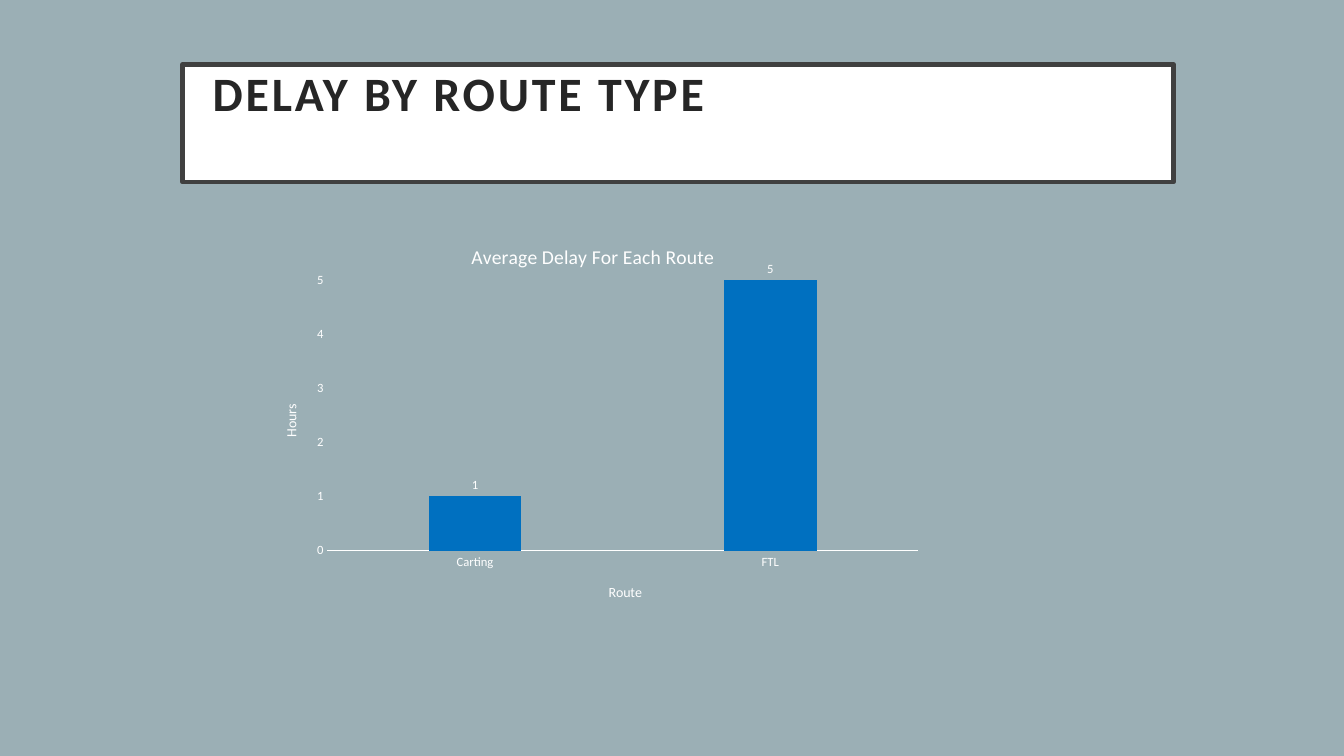
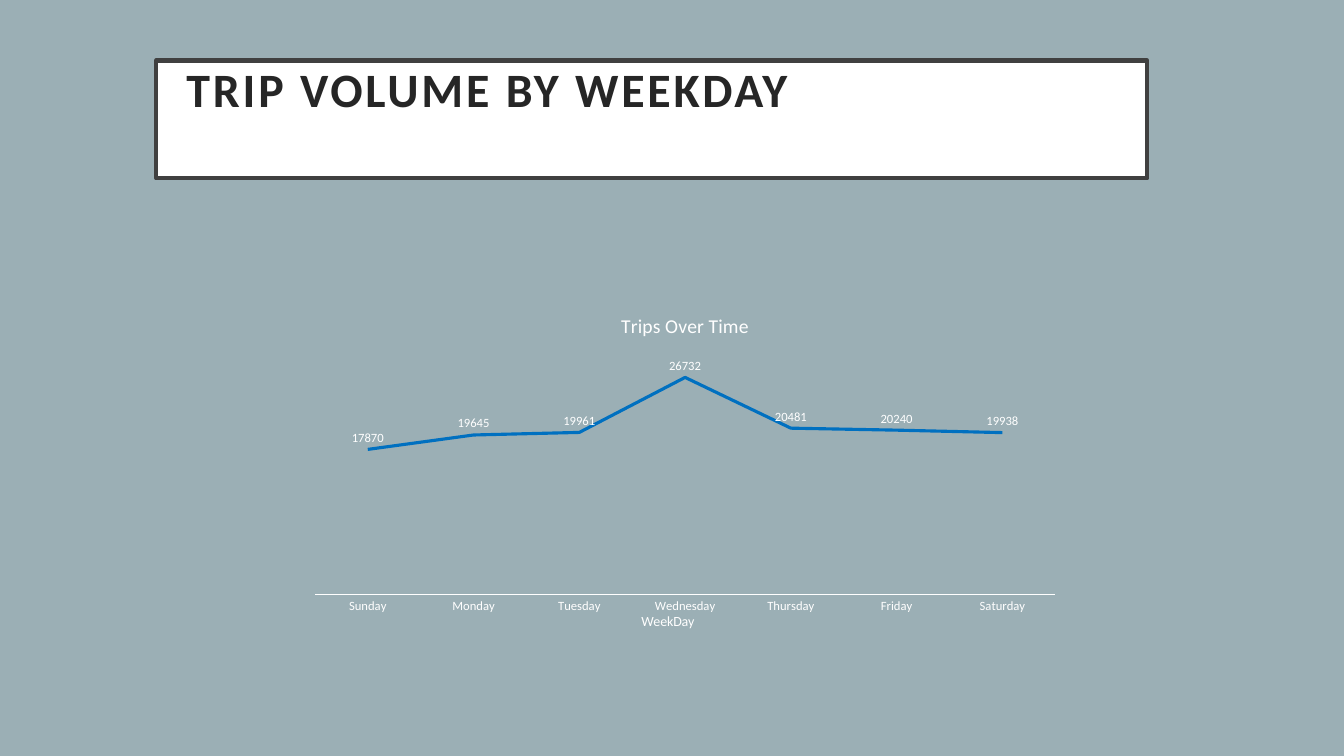
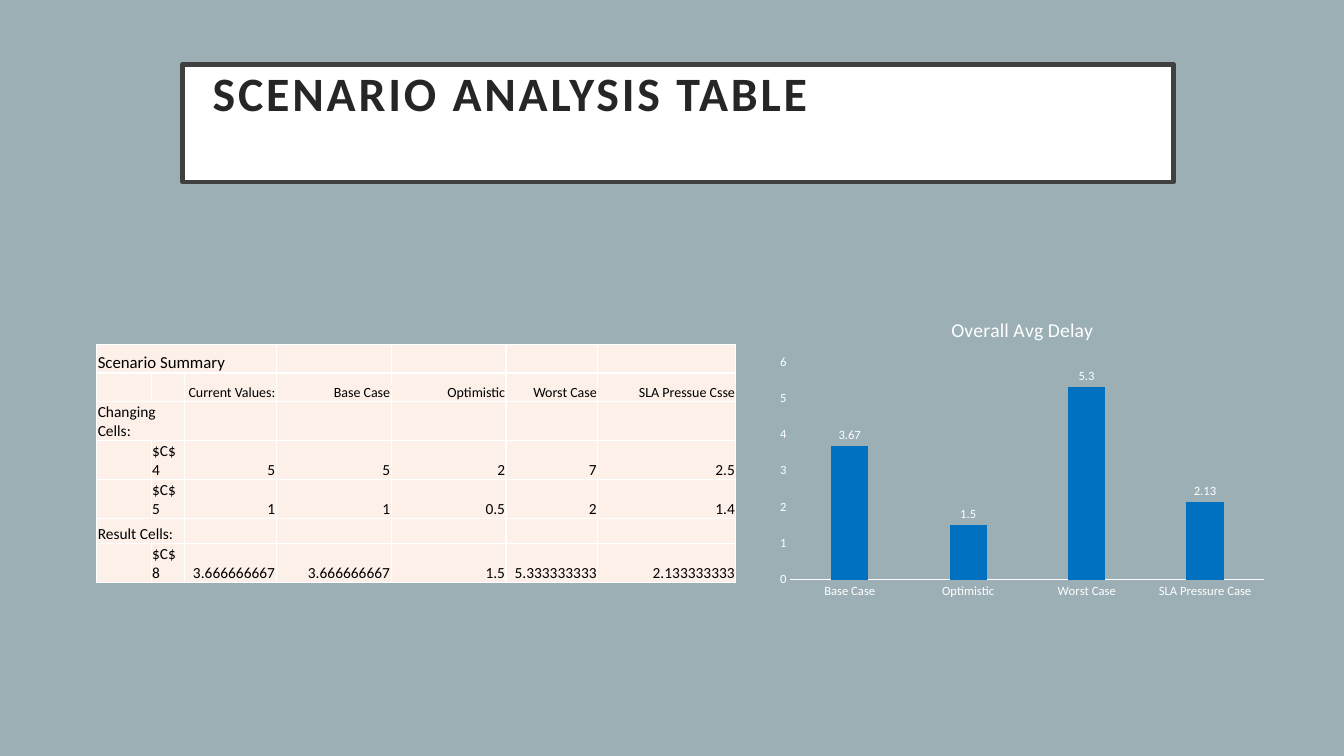
from dataclasses import dataclass

from lxml.etree import SubElement
from pptx import Presentation
from pptx.chart.data import CategoryChartData
from pptx.dml.color import RGBColor as RGB
from pptx.enum.chart import XL_CHART_TYPE as CT, XL_LABEL_POSITION as LP, XL_TICK_MARK as TICK
from pptx.enum.shapes import MSO_SHAPE as SHAPE
from pptx.enum.text import MSO_ANCHOR as ANCHOR, PP_ALIGN as AL
from pptx.oxml.ns import qn
from pptx.util import Inches, Pt


@dataclass(frozen=True)
class Theme:
    font: str = "Calibri"
    back: RGB = RGB.from_string("9BAFB5")
    white: RGB = RGB.from_string("FFFFFF")
    black: RGB = RGB.from_string("000000")
    ink: RGB = RGB.from_string("262626")
    frame: RGB = RGB.from_string("404040")
    accent: RGB = RGB.from_string("0070C0")
    cell: RGB = RGB.from_string("FDF0E8")
    title: float = 34.2
    chart_title: float = 14
    axis_title: float = 10
    label: float = 9


T = Theme()


def style_font(font, size, color, bold=False):
    font.name = T.font
    font.size = Pt(size)
    font.bold = bold
    font.color.rgb = color


def add_text(tf, text, size, color, bold=False, align=AL.LEFT, spacing=0, leading=None):
    p = tf.paragraphs[0]
    p.alignment = align
    p.line_spacing = leading
    r = p.add_run()
    r.text = text
    style_font(r.font, size, color, bold)
    if spacing:
        r.font._element.set("spc", str(spacing * 100))


def set_margins(box, left, top, right, bottom):
    box.margin_left, box.margin_top = Inches(left), Inches(top)
    box.margin_right, box.margin_bottom = Inches(right), Inches(bottom)


def add_slide(prs, title, left=1.81, top=0.64):
    s = prs.slides.add_slide(prs.slide_layouts[6])
    sp = s.shapes.add_shape(SHAPE.RECTANGLE, Inches(left), Inches(top), Inches(9.83), Inches(1.17))
    sp.shadow.inherit = False
    sp.fill.solid()
    sp.fill.fore_color.rgb = T.white
    sp.line.color.rgb = T.frame
    sp.line.width = Pt(3)
    tf = sp.text_frame
    tf.word_wrap = True
    tf.vertical_anchor = ANCHOR.TOP
    set_margins(tf, 0.3, 0.06, 0.3, 0.2)
    add_text(tf, title, T.title, T.ink, bold=True, spacing=2, leading=0.9)
    return s


def set_layout(parent, index, **places):
    for old in parent.findall(qn("c:layout")):
        parent.remove(old)
    layout = parent.makeelement(qn("c:layout"))
    parent.insert(index, layout)
    manual = SubElement(layout, qn("c:manualLayout"))
    if "w" in places:
        SubElement(manual, qn("c:layoutTarget"), val="inner")
    for side in "xy":
        SubElement(manual, qn(f"c:{side}Mode"), val="edge")
    for name, value in places.items():
        SubElement(manual, qn(f"c:{name}"), val=str(value))


def title_axis(axis, text, at=None):
    title = axis.axis_title
    add_text(title.text_frame, text, T.axis_title, T.white, align=AL.CENTER)
    if at:
        set_layout(title.element, 1, x=at[0], y=at[1])


def style_axis(axis):
    axis.has_major_gridlines = False
    axis.major_tick_mark = axis.minor_tick_mark = TICK.NONE
    style_font(axis.tick_labels.font, T.label, T.white)


def add_chart(s, kind, place, plot_at, title, points, top_value, step, fmt="General", name="Series 1"):
    data = CategoryChartData()
    data.categories = list(points)
    data.add_series(name, list(points.values()))
    chart = s.shapes.add_chart(kind, *map(Inches, place), data).chart
    style_font(chart.font, T.axis_title, T.white)
    chart.has_legend = False
    chart.has_title = True
    add_text(chart.chart_title.text_frame, title, T.chart_title, T.white, align=AL.CENTER)
    set_layout(chart.element.chart.plotArea, 0, **dict(zip("xywh", plot_at)))

    cat, val = chart.category_axis, chart.value_axis
    for axis in (cat, val):
        style_axis(axis)
    cat.format.line.color.rgb = T.white
    cat.format.line.width = Pt(0.75)
    val.format.line.fill.background()
    val.minimum_scale, val.maximum_scale, val.major_unit = 0, top_value, step
    val.tick_labels.number_format = fmt
    val.tick_labels.number_format_is_linked = False

    plot = chart.plots[0]
    plot.vary_by_categories = False
    plot.has_data_labels = True
    labels = plot.data_labels
    labels.show_value = True
    labels.number_format = fmt
    labels.number_format_is_linked = False
    style_font(labels.font, T.label, T.white)
    series = plot.series[0]
    if kind == CT.LINE:
        labels.position = LP.ABOVE
        series.smooth = False
        series.format.line.color.rgb = T.accent
        series.format.line.width = Pt(2.25)
    else:
        labels.position = LP.OUTSIDE_END
        plot.gap_width, plot.overlap = 219, -27
        series.format.fill.solid()
        series.format.fill.fore_color.rgb = T.accent
    return chart


def style_cell(cell):
    set_margins(cell, 0.01, 0.01, 0.01, 0)
    cell.vertical_anchor = ANCHOR.BOTTOM
    tc_pr = cell._tc.get_or_add_tcPr()
    for side in "LRTB":
        ln = SubElement(tc_pr, qn(f"a:ln{side}"), w=str(Pt(1)))
        fill = SubElement(ln, qn("a:solidFill"))
        SubElement(fill, qn("a:srgbClr"), val=str(T.white))
    cell.fill.solid()
    cell.fill.fore_color.rgb = T.cell


def add_table(s, left, top, widths, heights, rows, sizes, spans):
    frame = s.shapes.add_table(len(heights), len(widths), Inches(left), Inches(top),
                               Inches(sum(widths)), Inches(sum(heights)))
    table = frame.table
    table.first_row = table.horz_banding = False
    for column, width in zip(table.columns, widths):
        column.width = Inches(width)
    for i, (row, height, size) in enumerate(zip(rows, heights, sizes)):
        table.rows[i].height = Inches(height)
        for j in range(len(widths)):
            cell = table.cell(i, j)
            style_cell(cell)
            if j < len(row) and row[j]:
                add_text(cell.text_frame, row[j], size, T.black, align=AL.RIGHT if j > 1 else AL.LEFT)
            else:
                p = cell.text_frame.paragraphs[0]
                SubElement(p._p, qn("a:endParaRPr"), sz=str(size * 100))
    for i, last in spans.items():
        table.cell(i, 0).merge(table.cell(i, last))


def build_route(prs):
    s = add_slide(prs, "DELAY BY ROUTE TYPE")
    chart = add_chart(s, CT.COLUMN_CLUSTERED, (2.59, 2.25, 6.58, 3.78), (0.1, 0.14, 0.89, 0.71),
                      "Average Delay For Each Route", {"Carting": 1, "FTL": 5}, 5, 1, fmt="0")
    title_axis(chart.category_axis, "Route", at=(0.52, 0.93))
    title_axis(chart.value_axis, "Hours")


def build_weekday(prs):
    s = add_slide(prs, "TRIP VOLUME BY WEEKDAY", 1.55, 0.6)
    trips = {"Sunday": 17870, "Monday": 19645, "Tuesday": 19961, "Wednesday": 26732,
             "Thursday": 20481, "Friday": 20240, "Saturday": 19938}
    chart = add_chart(s, CT.LINE, (2.97, 2.94, 7.65, 3.61), (0.02, 0.15, 0.96, 0.67),
                      "Trips Over Time", trips, 30000, 5000)
    title_axis(chart.category_axis, "WeekDay", at=(0.44, 0.86))
    chart.value_axis.visible = False


def build_scenarios(prs):
    s = add_slide(prs, "SCENARIO ANALYSIS TABLE")
    rows = [
        ["Scenario Summary"],
        ["", "", "Current Values:", "Base Case", "Optimistic", "Worst Case", "SLA Pressue Csse"],
        ["Changing Cells:"],
        ["", "$C$4", "5", "5", "2", "7", "2.5"],
        ["", "$C$5", "1", "1", "0.5", "2", "1.4"],
        ["Result Cells:"],
        ["", "$C$8", "3.666666667", "3.666666667", "1.5", "5.333333333", "2.133333333"],
    ]
    add_table(s, 0.96, 3.42, [0.54, 0.33, 0.91, 1.14, 1.14, 0.91, 1.37],
              [0.28, 0.28, 0.25, 0.25, 0.25, 0.25, 0.26], rows,
              [12, 10] + [11] * 5, {0: 2, 2: 1, 5: 1})
    delays = {"Base Case": 3.67, "Optimistic": 1.5, "Worst Case": 5.3, "SLA Pressure Case": 2.13}
    add_chart(s, CT.COLUMN_CLUSTERED, (7.64, 2.99, 5, 3), (0.04, 0.2, 0.94, 0.72),
              "Overall Avg Delay", delays, 6, 1, name="Overall Avg Delay")


def main():
    prs = Presentation()
    prs.slide_width, prs.slide_height = Inches(13.33), Inches(7.5)
    back = prs.slide_master.background.fill
    back.solid()
    back.fore_color.rgb = T.back
    for build in (build_route, build_weekday, build_scenarios):
        build(prs)
    prs.save("out.pptx")


if __name__ == "__main__":
    main()
